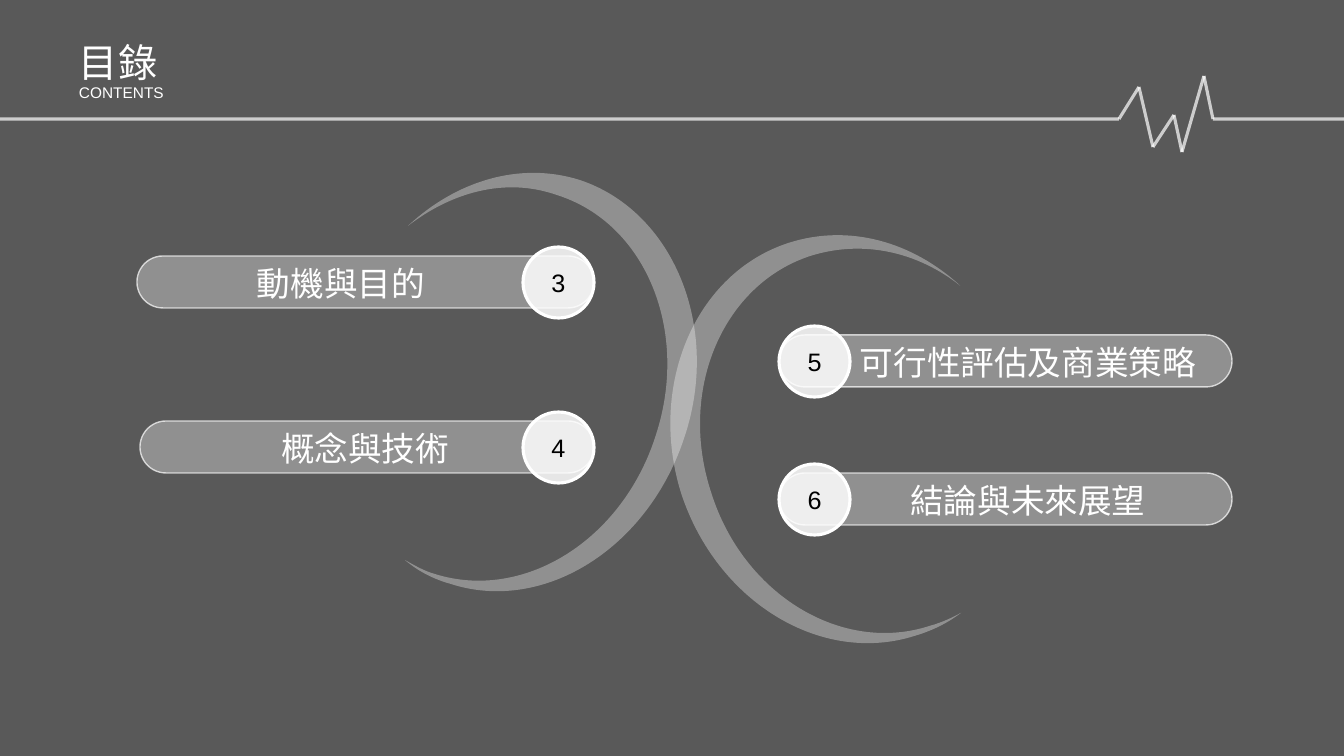
"""Build a contents slide with a pulse line, two crescents and four numbered entries."""
import math

from pptx import Presentation, util as u
from pptx.dml import color
from pptx.enum import shapes, text
from pptx.oxml import ns, xmlchemy

TITLE = ("目錄", "CONTENTS")
ENTRIES = [
    {"number": "3", "label": "動機與目的", "bar": (137, 256, 457), "badge": "right", "label_left": 111},
    {"number": "4", "label": "概念與技術", "bar": (140, 421, 454), "badge": "right", "label_left": 135},
    {"number": "5", "label": "可行性評估及商業策略", "bar": (779, 335, 453), "badge": "left", "label_left": 798},
    {"number": "6", "label": "結論與未來展望", "bar": (779, 473, 453), "badge": "left", "label_left": 798},
]
PULSE = [(0, 119), (1119, 119), (1139, 87), (1153, 147), (1174, 115),
         (1182, 152), (1204, 76), (1213, 119), (1344, 119)]
CRESCENTS = [
    {"center": (529, 387), "tilt": 17.8, "controls": [
        (580, 180), (673, 211), (721, 326), (685, 436), (649, 548), (544, 614), (451, 584),
        (433, 579), (418, 571), (405, 560), (414, 565), (424, 571), (435, 574),
        (524, 602), (623, 540), (656, 435), (690, 331), (646, 223), (557, 195),
        (506, 177), (452, 192), (408, 226), (456, 181), (520, 161), (580, 180)]},
    {"center": (839, 445), "tilt": -17.8, "controls": [
        (789, 243), (695, 273), (647, 386), (681, 494), (717, 603), (822, 666), (915, 636),
        (932, 631), (948, 623), (961, 613), (952, 618), (941, 623), (930, 626),
        (842, 655), (743, 595), (711, 493), (677, 390), (723, 284), (811, 256),
        (863, 240), (917, 252), (960, 286), (912, 242), (849, 224), (789, 243)]},
]
COLORS = {"glass": "FCFCFC", "white": "FFFFFF", "black": "000000"}
FONT = "Arial"
PX = 914400 / 100.8
SLIDE_SIZE = (1344, 756)
BAR_HEIGHT, BADGE_SIZE, BADGE_RISE = 52, 71, 9
LABEL_WIDTH, LABEL_HEIGHT = 460, 50


def px(*lengths):
    return [u.Emu(round(length * PX)) for length in lengths]


def rgb(name):
    return color.RGBColor.from_string(COLORS[name])


def set_alpha(properties, percent):
    solid = properties.find(ns.qn("a:solidFill"))
    alpha = xmlchemy.OxmlElement("a:alpha")
    alpha.set("val", str(percent * 1000))
    solid[0].append(alpha)


def style_line(line, width, alpha=100):
    line.color.rgb = rgb("white")
    line.width = u.Pt(width)
    if alpha < 100:
        set_alpha(line._get_or_add_ln(), alpha)


def style_fill(shape, name, alpha):
    shape.shadow.inherit = False
    shape.fill.solid()
    shape.fill.fore_color.rgb = rgb(name)
    set_alpha(shape._element.spPr, alpha)


def write_text(shape, content, size, name="white", align=text.PP_ALIGN.LEFT,
               anchor=text.MSO_ANCHOR.TOP, spacing=None):
    frame = shape.text_frame
    frame.word_wrap = True
    frame.vertical_anchor = anchor
    paragraph = frame.paragraphs[0]
    paragraph.alignment = align
    if spacing:
        paragraph.line_spacing = spacing
    run = paragraph.add_run()
    run.text = content
    run.font.size = u.Pt(size)
    run.font.name = FONT
    run.font.color.rgb = rgb(name)


def add_backdrop(slide):
    backdrop = slide.shapes.add_shape(shapes.MSO_SHAPE.RECTANGLE, *px(0, 0, *SLIDE_SIZE))
    style_fill(backdrop, "black", 65)
    backdrop.line.fill.background()


def add_pulse(slide):
    group = slide.shapes.add_group_shape()
    for start, end in zip(PULSE, PULSE[1:]):
        line = group.shapes.add_connector(shapes.MSO_CONNECTOR.STRAIGHT, *px(*start, *end))
        style_line(line.line, 2.25, 70)
        line._element.spPr.append(xmlchemy.OxmlElement("a:effectLst"))


def turn(point, center, degrees):
    angle = math.radians(degrees)
    x, y = point[0] - center[0], point[1] - center[1]
    return px(center[0] + x * math.cos(angle) - y * math.sin(angle),
              center[1] + x * math.sin(angle) + y * math.cos(angle))


def bend_segments(shape):
    segments = shape._element.xpath(".//a:lnTo")
    for first in range(0, len(segments), 3):
        curve = xmlchemy.OxmlElement("a:cubicBezTo")
        segments[first].addprevious(curve)
        for segment in segments[first:first + 3]:
            curve.append(segment[0])
            segment.getparent().remove(segment)


def add_crescent(slide, center, tilt, controls):
    start, *others = [turn(point, center, -tilt) for point in controls]
    builder = slide.shapes.build_freeform(*start, scale=1.0)
    builder.add_line_segments(others, close=True)
    crescent = builder.convert_to_shape()
    bend_segments(crescent)
    crescent.rotation = tilt
    style_fill(crescent, "glass", 34)
    crescent.line.fill.background()


def add_entry(slide, entry):
    group = slide.shapes.add_group_shape()
    left, top, width = entry["bar"]
    bar = group.shapes.add_shape(shapes.MSO_SHAPE.ROUNDED_RECTANGLE, *px(left, top, width, BAR_HEIGHT))
    bar.adjustments[0] = 0.5
    style_fill(bar, "glass", 34)
    style_line(bar.line, 1, 70)

    badge_left = left + width - BADGE_SIZE if entry["badge"] == "right" else left
    badge = group.shapes.add_shape(shapes.MSO_SHAPE.OVAL,
                                   *px(badge_left, top - BADGE_RISE, BADGE_SIZE, BADGE_SIZE))
    style_fill(badge, "white", 85)
    style_line(badge.line, 2.25)
    write_text(badge, entry["number"], 18, name="black", align=text.PP_ALIGN.CENTER,
               anchor=text.MSO_ANCHOR.MIDDLE)

    label = group.shapes.add_textbox(*px(entry["label_left"], top + 2, LABEL_WIDTH, LABEL_HEIGHT))
    write_text(label, entry["label"], 24, align=text.PP_ALIGN.CENTER)


def main():
    presentation = Presentation()
    presentation.slide_width, presentation.slide_height = px(*SLIDE_SIZE)
    slide = presentation.slides.add_slide(presentation.slide_layouts[6])

    add_backdrop(slide)
    add_pulse(slide)
    heading, subheading = TITLE
    write_text(slide.shapes.add_textbox(*px(69, 33, 391, 57)), heading, 28)
    write_text(slide.shapes.add_textbox(*px(69, 76, 438, 30)), subheading, 11, spacing=1.14)
    for crescent in CRESCENTS:
        add_crescent(slide, **crescent)
    for entry in ENTRIES:
        add_entry(slide, entry)
    presentation.save("out.pptx")


if __name__ == "__main__":
    main()
